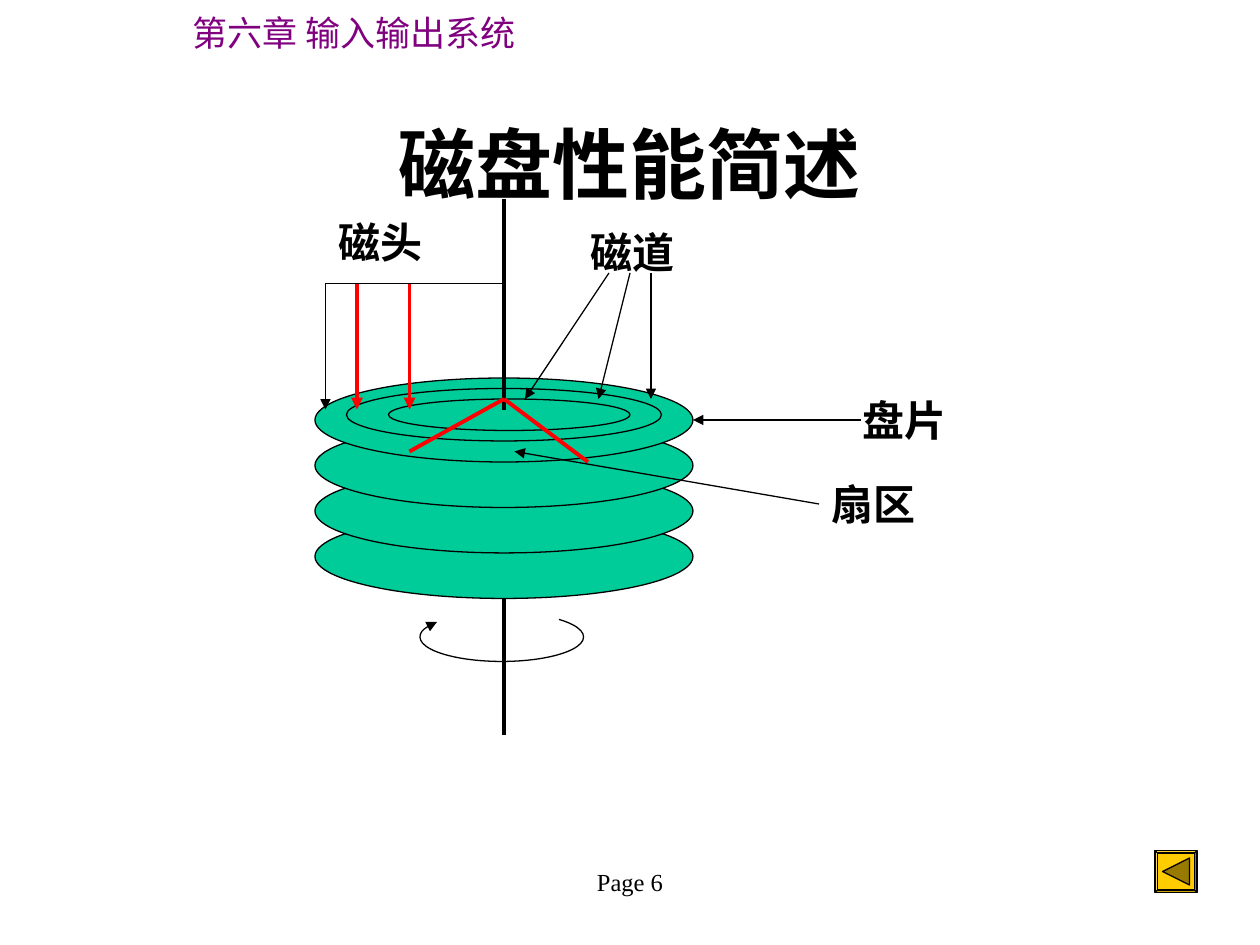
from dataclasses import dataclass

from lxml.etree import SubElement
from pptx import Presentation
from pptx.dml.color import RGBColor
from pptx.enum.shapes import MSO_CONNECTOR, MSO_SHAPE
from pptx.enum.text import MSO_ANCHOR, MSO_AUTO_SIZE, PP_ALIGN
from pptx.oxml.ns import qn
from pptx.util import Pt


@dataclass(frozen=True)
class Theme:
    black: str = "000000"
    red: str = "FF0000"
    purple: str = "800080"
    green: str = "00CC99"
    gold: str = "FFCC00"
    dark_gold: str = "997A00"
    latin: str = "Times New Roman"
    chinese: str = "Noto Sans CJK SC"
    title_size: int = 44
    label_size: int = 24
    chapter_size: int = 20
    page_size: int = 14
    thin: float = 0.75
    thick: float = 2.25


THEME = Theme()


def add_span(para, text, size, color=THEME.black, bold=False, font=THEME.latin):
    span = para.add_run()
    span.text = text
    span.font.name = font
    span.font.size = Pt(size)
    span.font.bold = bold
    span.font.color.rgb = RGBColor.from_string(color)
    SubElement(span.font._element, qn("a:ea"), typeface=THEME.chinese)


def add_title(page, text):
    box = page.shapes.title
    box.left, box.top, box.width, box.height = Pt(54), Pt(48), Pt(612), Pt(90)
    box.text_frame.vertical_anchor = MSO_ANCHOR.MIDDLE
    para = box.text_frame.paragraphs[0]
    para.alignment = PP_ALIGN.CENTER
    add_span(para, text, THEME.title_size, bold=True)


def add_text(page, text, left, top, width, height, size, align=PP_ALIGN.LEFT, **style):
    box = page.shapes.add_textbox(Pt(left), Pt(top), Pt(width), Pt(height))
    frame = box.text_frame
    frame.word_wrap = True
    frame.auto_size = MSO_AUTO_SIZE.NONE
    para = frame.paragraphs[0]
    para.alignment = align
    add_span(para, text, size, **style)


def add_label(page, text, left, top):
    # Room for two characters, the side insets and a little slack
    add_text(page, text, left, top, 66, 36, THEME.label_size, bold=True)


def style_line(line, color, weight, arrow):
    line.color.rgb = RGBColor.from_string(color)
    line.width = Pt(weight)
    if arrow:
        SubElement(line._get_or_add_ln(), qn("a:tailEnd"), type="triangle")


def add_line(page, start, end, color=THEME.black, weight=THEME.thin, arrow=False):
    line = page.shapes.add_connector(
        MSO_CONNECTOR.STRAIGHT, *(Pt(value) for value in (*start, *end)))
    style_line(line.line, color, weight, arrow)
    SubElement(line._element.spPr, qn("a:effectLst"))


def add_figure(page, kind, left, top, width, height, fill=None, arrow=False):
    figure = page.shapes.add_shape(kind, Pt(left), Pt(top), Pt(width), Pt(height))
    figure.shadow.inherit = False
    if fill:
        figure.fill.solid()
        figure.fill.fore_color.rgb = RGBColor.from_string(fill)
    else:
        figure.fill.background()
    style_line(figure.line, THEME.black, THEME.thin, arrow)
    return figure


def add_disks(page):
    # Platters from the lowest up, between the two ends of the shaft
    add_line(page, (288, 300), (288, 420), weight=THEME.thick)
    for level in reversed(range(4)):
        add_figure(page, MSO_SHAPE.OVAL, 180, 216 + 26 * level, 216, 48, THEME.green)
    add_line(page, (288, 114), (288, 234), weight=THEME.thick)
    # Tracks
    add_figure(page, MSO_SHAPE.OVAL, 198, 222, 180, 30)
    add_figure(page, MSO_SHAPE.OVAL, 222, 228, 138, 18)
    # Sector edges
    for end in ((234, 258), (336, 264)):
        add_line(page, (288, 228), end, THEME.red, THEME.thick)


def add_rotation(page):
    arc = add_figure(page, MSO_SHAPE.ARC, 240, 350, 93.5, 28, arrow=True)
    # Degrees are held in 60000ths, adjustments in 100000ths
    for index, degrees in enumerate((343, 193)):
        arc.adjustments[index] = degrees * 0.6


def add_heads(page):
    add_line(page, (186, 162), (288, 162))
    add_line(page, (186, 162), (186, 234), arrow=True)
    for x in (204, 234):
        add_line(page, (x, 162), (x, 234), THEME.red, THEME.thick, arrow=True)


def add_callouts(page):
    for text, left, top in (("磁头", 186.5, 120), ("磁道", 330.5, 126),
                            ("盘片", 486, 222), ("扇区", 468, 270)):
        add_label(page, text, left, top)
    for start, end in (((348, 156), (300, 228)), ((360, 156), (342, 228)),
                       ((372, 156), (372, 228)), ((492, 240), (396, 240)),
                       ((468, 288), (294, 258))):
        add_line(page, start, end, arrow=True)


def add_back_button(page):
    button = add_figure(page, MSO_SHAPE.BEVEL, 660, 486, 24, 24, THEME.gold)
    button.adjustments[0] = 0.06
    pointer = add_figure(page, MSO_SHAPE.ISOSCELES_TRIANGLE, 664.3, 490.3, 15.4, 15.4,
                         THEME.dark_gold)
    pointer.rotation = 270


def main():
    deck = Presentation()
    deck.slide_width, deck.slide_height = Pt(720), Pt(540)
    page = deck.slides.add_slide(deck.slide_layouts[5])

    # Chapter, title and page number
    add_text(page, "第六章 输入输出系统", 103, 3, 206, 32, THEME.chapter_size,
             color=THEME.purple, font=THEME.chinese)
    add_title(page, "磁盘性能简述")
    add_text(page, "Page 6", 246, 492, 228, 36, THEME.page_size, PP_ALIGN.CENTER)

    # Disk drawing
    add_disks(page)
    add_rotation(page)
    add_heads(page)
    add_callouts(page)

    # Navigation
    add_back_button(page)
    deck.save("out.pptx")


if __name__ == "__main__":
    main()
